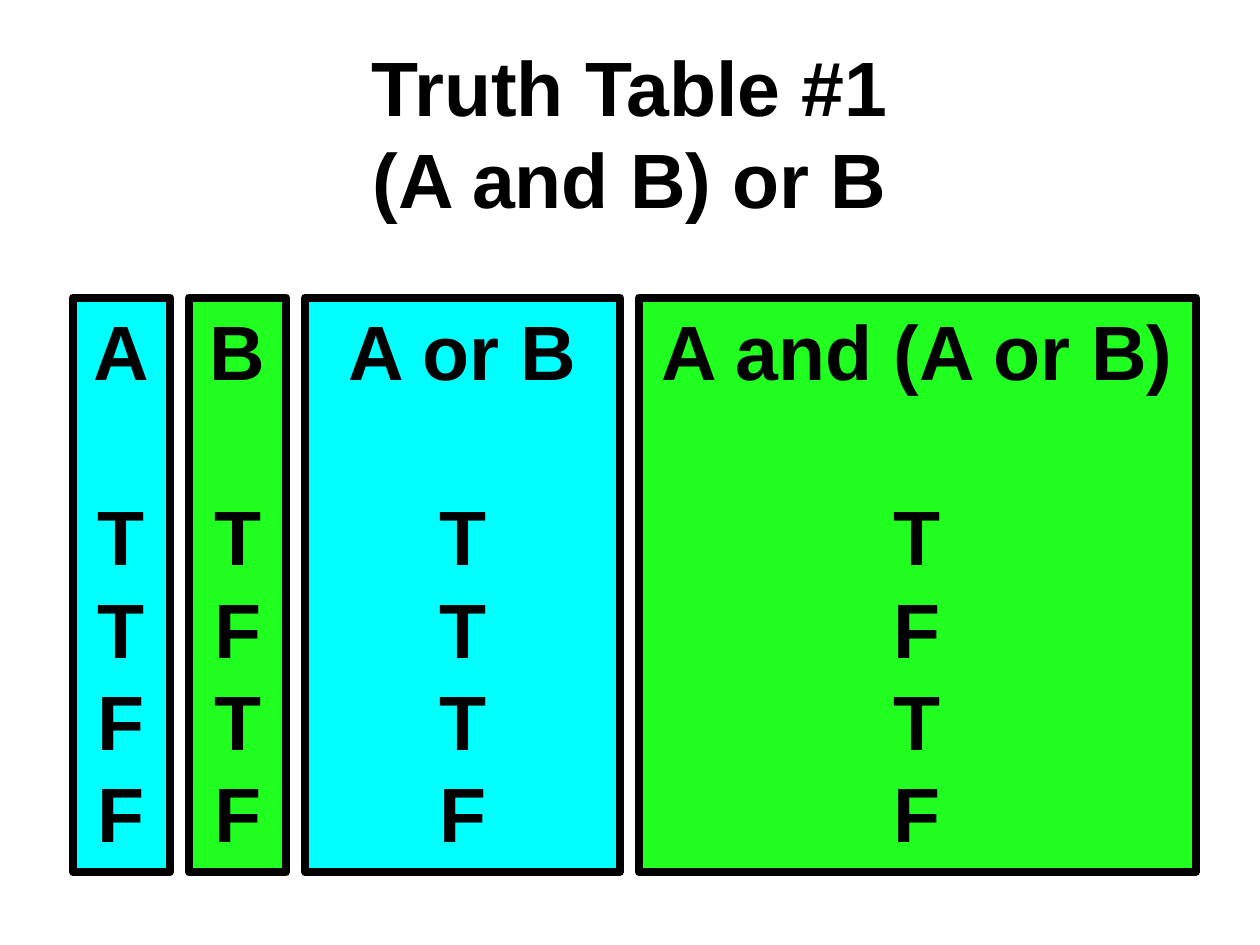
"""Build a slide with a truth table made of four coloured columns."""
from pptx import Presentation
from pptx.dml.color import RGBColor
from pptx.enum.shapes import MSO_SHAPE as Shape
from pptx.enum.text import MSO_ANCHOR as Anchor, MSO_AUTO_SIZE as AutoSize, PP_ALIGN as Align
from pptx.util import Cm, Pt

BLACK = RGBColor(0x00, 0x00, 0x00)
CYAN = RGBColor(0x00, 0xFF, 0xFF)
GREEN = RGBColor(0x21, 0xFF, 0x21)

TITLE = "Truth Table #1\v(A and B) or B"
COLUMNS = [
    ("A", "TTFF", 1.96, CYAN),
    ("B", "TFTF", 1.96, GREEN),
    ("A or B", "TTTF", 6.35, CYAN),
    ("A and (A or B)", "TFTF", 11.23, GREEN),
]
LEFT, TOP, HEIGHT, GAP = 1.47, 6, 11.58, 0.38
LINE_PITCH = Pt(52.8)
FONT = {"name": "Arial", "size": Pt(44), "bold": True}


def format_text(frame):
    for para in frame.paragraphs:
        para.alignment = Align.CENTER
        para.line_spacing = LINE_PITCH
        para.space_before = Pt(0)
        for span in para.runs:
            for name, value in FONT.items():
                setattr(span.font, name, value)
            span.font.color.rgb = BLACK


def add_column(page, left, width, heading, values, color):
    box = page.shapes.add_shape(Shape.RECTANGLE, Cm(left), Cm(TOP), Cm(width), Cm(HEIGHT))
    box.shadow.inherit = False
    box.fill.solid()
    box.fill.fore_color.rgb = color
    box.line.color.rgb = BLACK
    box.line.width = Pt(4.5)
    frame = box.text_frame
    frame.text = "\n".join([heading, *values])
    frame.word_wrap = True
    frame.vertical_anchor = Anchor.TOP
    frame.auto_size = AutoSize.SHAPE_TO_FIT_TEXT
    format_text(frame)
    frame.paragraphs[1].space_before = LINE_PITCH


def main():
    deck = Presentation()
    deck.slide_width, deck.slide_height = Cm(25.4), Cm(19.05)
    page = deck.slides.add_slide(deck.slide_layouts[5])
    title = page.shapes.title
    title.left, title.top, title.width, title.height = Cm(0), Cm(1.07), Cm(25.4), Cm(3.18)
    title.text_frame.text = TITLE
    title.text_frame.vertical_anchor = Anchor.MIDDLE
    title.text_frame.auto_size = AutoSize.NONE
    format_text(title.text_frame)
    left = LEFT
    for heading, values, width, color in COLUMNS:
        add_column(page, left, width, heading, values, color)
        left += width + GAP
    deck.save("out.pptx")


if __name__ == "__main__":
    main()
